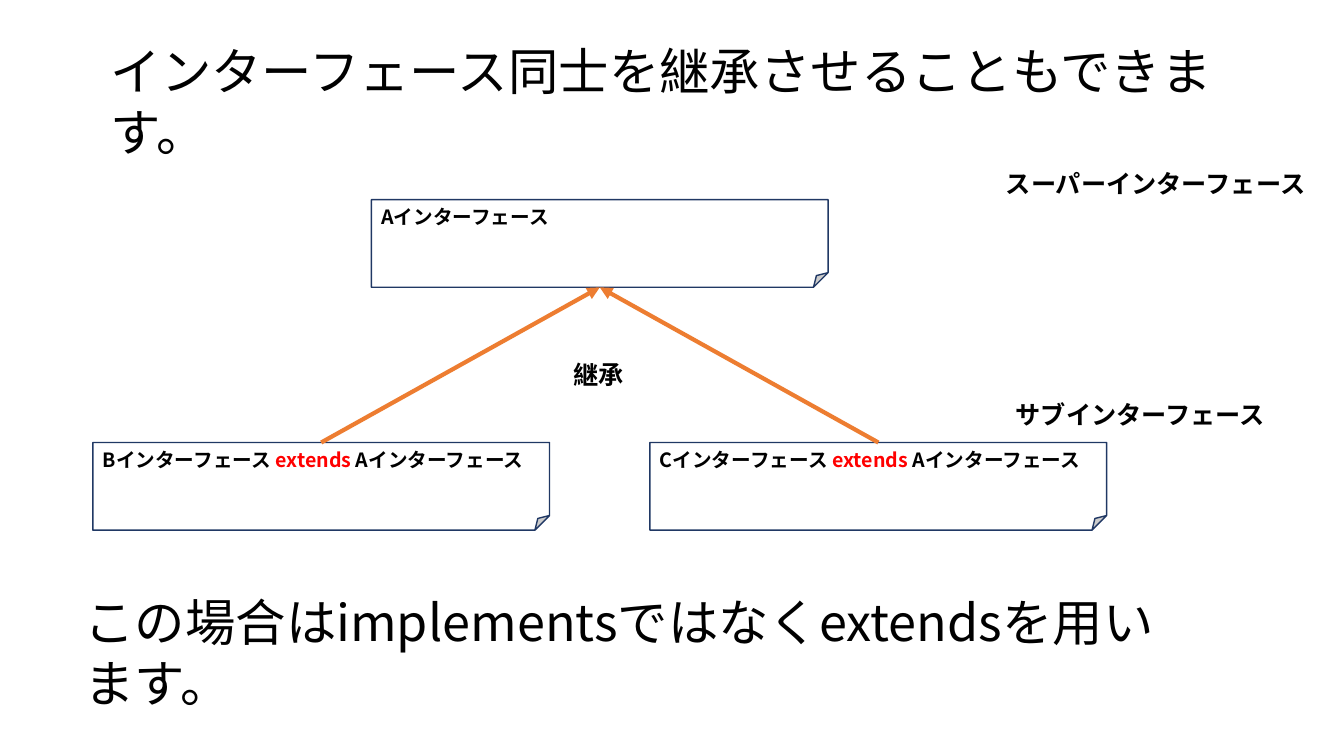
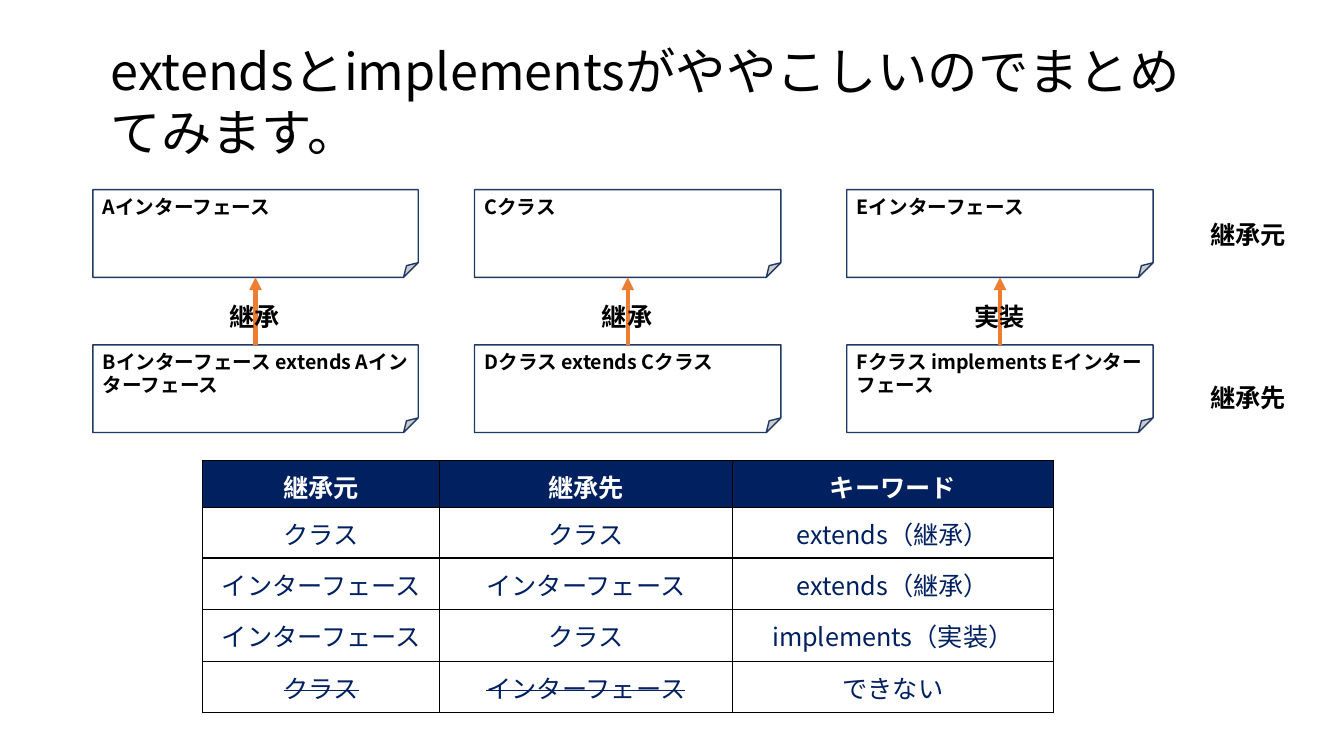
from lxml import etree
from pptx import Presentation
from pptx.dml.color import RGBColor
from pptx.enum import shapes, text
from pptx.oxml import ns
from pptx.util import Cm, Pt

FONT = "Noto Sans CJK JP"
HUES = {
    "ink": "000000",
    "paper": "FFFFFF",
    "edge": "203864",
    "navy": "002060",
    "arrow": "ED7D31",
    "key": "FF0000",
}
BOX_H = 2.21


def hue(name):
    return RGBColor.from_string(HUES[name])


def style(para, size, bold=False, color="ink", strike=False):
    font = para.font
    font.size, font.bold, font.name = Pt(size), bold, FONT
    font.color.rgb = hue(color)
    props = para._p.pPr.find(ns.qn("a:defRPr"))
    etree.SubElement(props, ns.qn("a:ea")).set("typeface", FONT)
    if strike:
        props.set("strike", "sngStrike")


def write(slide, words, x, y, w, h, size, bold=False, wrap=True):
    frame = slide.shapes.add_textbox(Cm(x), Cm(y), Cm(w), Cm(h)).text_frame
    frame.word_wrap = wrap
    frame.auto_size = text.MSO_AUTO_SIZE.SHAPE_TO_FIT_TEXT
    para = frame.paragraphs[0]
    para.text = words
    style(para, size, bold)


def head(slide, words, x=2.54, y=0.89):
    write(slide, words, x, y, 28.63, 3.33, 36)


def label(slide, words, x, y, w=1.8):
    write(slide, words, x, y, w, 1.02, 18, True, False)


def note(slide, parts, x, y, w):
    box = slide.shapes.add_shape(
        shapes.MSO_SHAPE.FOLDED_CORNER, Cm(x), Cm(y), Cm(w), Cm(BOX_H))
    box.shadow.inherit = False
    box.fill.solid()
    box.fill.fore_color.rgb = hue("paper")
    box.line.color.rgb = hue("edge")
    box.line.width = Pt(1)
    frame = box.text_frame
    frame.word_wrap = True
    frame.vertical_anchor = text.MSO_ANCHOR.TOP
    para = frame.paragraphs[0]
    para.alignment = text.PP_ALIGN.LEFT
    for words, color in parts:
        run = para.add_run()
        run.text = words
        if color != "ink":
            run.font.color.rgb = hue(color)
    style(para, 14, True)
    return box


def arrow(slide, low, high):
    line = slide.shapes.add_connector(shapes.MSO_CONNECTOR.STRAIGHT, 0, 0, 0, 0)
    line.begin_connect(low, 0)
    line.end_connect(high, 2)
    line.line.color.rgb = hue("arrow")
    line.line.width = Pt(3)
    etree.SubElement(line.line._get_or_add_ln(), ns.qn("a:tailEnd")).set("type", "triangle")
    etree.SubElement(line._element.spPr, ns.qn("a:effectLst"))


def border(cell):
    props = cell._tc.get_or_add_tcPr()
    for i, side in enumerate(("lnL", "lnR", "lnT", "lnB")):
        line = etree.Element(ns.qn("a:" + side), w=str(Pt(1)))
        fill = etree.SubElement(line, ns.qn("a:solidFill"))
        etree.SubElement(fill, ns.qn("a:srgbClr")).set("val", HUES["ink"])
        props.insert(i, line)


def grid(slide, rows, x, y, wide, tall):
    table = slide.shapes.add_table(
        len(rows), len(wide), Cm(x), Cm(y), Cm(sum(wide)), Cm(sum(tall))).table
    for col, w in zip(table.columns, wide):
        col.width = Cm(w)
    for r, (row, h) in enumerate(zip(rows, tall)):
        table.rows[r].height = Cm(h)
        for c, words in enumerate(row):
            cell = table.cell(r, c)
            top = r == 0
            cell.fill.solid()
            cell.fill.fore_color.rgb = hue("navy" if top else "paper")
            cell.vertical_anchor = text.MSO_ANCHOR.MIDDLE
            cell.margin_left = cell.margin_right = Cm(0.25)
            cell.margin_top = cell.margin_bottom = Cm(0.2)
            border(cell)
            para = cell.text_frame.paragraphs[0]
            para.text = words
            para.alignment = text.PP_ALIGN.CENTER
            void = row[-1] == "できない" and c < len(row) - 1
            style(para, 18, top, "paper" if top else "navy", void)


def tree(slide, x, y):
    w = 11.51
    high = note(slide, [("Aインターフェース", "ink")], x + 7.02, y, w)
    for name, dx in (("B", 0), ("C", 14.04)):
        parts = [(name + "インターフェース ", "ink"), ("extends", "key"),
                 (" Aインターフェース", "ink")]
        arrow(slide, note(slide, parts, x + dx, y + 6.12, w), high)
    label(slide, "継承", x + 11.86, y + 3.89)
    label(slide, "スーパーインターフェース", x + 22.76, y - 0.92, 8.2)
    label(slide, "サブインターフェース", x + 23.01, y + 4.9, 6.93)


def pair(slide, x, y, w, base, heir, verb):
    high = note(slide, [(base, "ink")], x, y, w)
    low = note(slide, [(heir, "ink")], x, y + 3.91, w)
    arrow(slide, low, high)
    label(slide, verb, x + w / 2 - 0.9, y + 2.69)


def main():
    deck = Presentation()
    deck.slide_width, deck.slide_height = Cm(33.87), Cm(19.05)
    blank = deck.slide_layouts[6]

    slide = deck.slides.add_slide(blank)
    head(slide, "インターフェース同士を継承させることもできます。")
    tree(slide, 2.34, 5.03)
    head(slide, "この場合はimplementsではなくextendsを用います。", 1.88, 14.78)

    slide = deck.slides.add_slide(blank)
    head(slide, "extendsとimplementsがややこしいのでまとめてみます。")
    pairs = [
        (2.34, 8.2, "Aインターフェース", "Bインターフェース extends Aインターフェース", "継承"),
        (11.96, 7.72, "Cクラス", "Dクラス extends Cクラス", "継承"),
        (21.34, 7.72, "Eインターフェース", "Fクラス implements Eインターフェース", "実装"),
    ]
    for x, w, base, heir, verb in pairs:
        pair(slide, x, 4.78, w, base, heir, verb)
    label(slide, "継承元", 30.25, 5.41, 2.44)
    label(slide, "継承先", 30.25, 9.5, 2.44)
    rows = [
        ("継承元", "継承先", "キーワード"),
        ("クラス", "クラス", "extends（継承）"),
        ("インターフェース", "インターフェース", "extends（継承）"),
        ("インターフェース", "クラス", "implements（実装）"),
        ("クラス", "インターフェース", "できない"),
    ]
    grid(slide, rows, 5.11, 11.61, (5.97, 7.37, 8.1), (1.18, 1.27, 1.3, 1.3, 1.3))
    deck.save("out.pptx")


if __name__ == "__main__":
    main()
